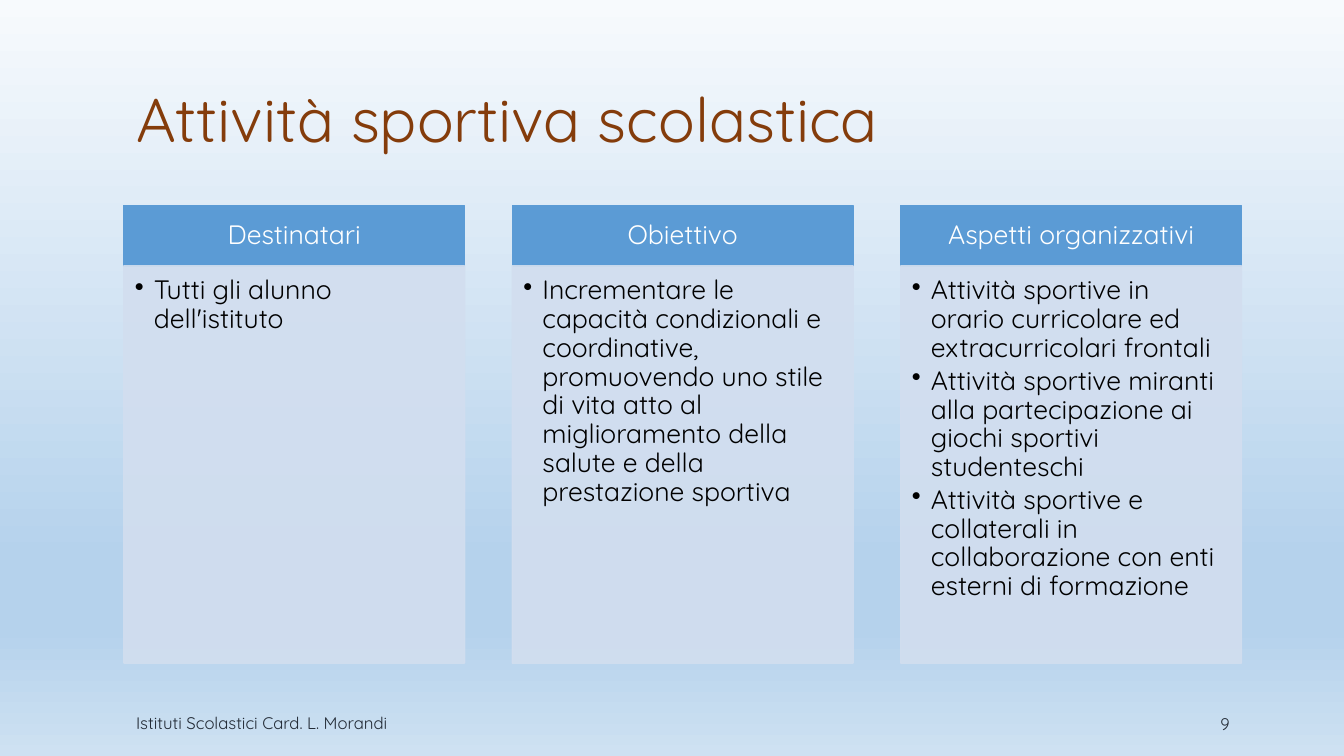
from lxml import etree
from pptx import Presentation
from pptx import util as u
from pptx.dml.color import RGBColor
from pptx.enum import shapes, text
from pptx.oxml import ns

BROWN = RGBColor(0x84, 0x3C, 0x0B)
BLUE = RGBColor(0x5B, 0x9B, 0xD5)
PALE_BLUE = RGBColor(0xD2, 0xDE, 0xEF)
WHITE = RGBColor(0xFF, 0xFF, 0xFF)
BLACK = RGBColor(0x00, 0x00, 0x00)
DARK = RGBColor(0x22, 0x2A, 0x35)
SKY = [
    (0, RGBColor(0xF7, 0xFA, 0xFD)),
    (74, RGBColor(0xB5, 0xD2, 0xEC)),
    (83, RGBColor(0xB5, 0xD2, 0xEC)),
    (100, RGBColor(0xCE, 0xE1, 0xF2)),
]

LEFT, COLUMN_STEP, COLUMN_WIDTH = 3.12, 9.79, 8.59
HEADER_TOP, HEADER_HEIGHT, BODY_HEIGHT = 5.18, 1.52, 10.01
COLUMNS = [
    ("Destinatari", ["Tutti gli alunno dell'istituto"]),
    ("Obiettivo", [
        "Incrementare le capacità condizionali e coordinative, promuovendo uno "
        "stile di vita atto al miglioramento della salute e della prestazione sportiva",
    ]),
    ("Aspetti organizzativi", [
        "Attività sportive in orario curricolare ed extracurricolari frontali",
        "Attività sportive miranti alla partecipazione ai giochi sportivi studenteschi",
        "Attività sportive e collaterali in collaborazione con enti esterni di formazione",
    ]),
]


class SlideBuilder:
    """Hold the style and the current slide, and draw its elements."""

    font_name = "Quicksand"
    text_margins = (0.33, 0.18, 0.33, 0.18)
    header_margins = (0.38, 0.2, 0.38, 0.2)
    body_margins = (0.28, 0.28, 0.38, 0.43)

    def __init__(self, slide):
        """Keep the slide to draw on."""
        self.slide = slide

    def background(self, stops):
        """Fill the background with a gradient from top to bottom."""
        fill = self.slide.background.fill
        fill.gradient()
        fill.gradient_angle = 270
        stop_list = next(self.slide.element.iter(ns.qn("a:gsLst")))
        for old_stop in list(stop_list):
            stop_list.remove(old_stop)
        for position, color in stops:
            stop = etree.SubElement(stop_list, ns.qn("a:gs"), pos=str(position * 1000))
            etree.SubElement(stop, ns.qn("a:srgbClr"), val=str(color))

    def set_text(self, shape, lines, size, color, margins, anchor,
                 align=text.PP_ALIGN.LEFT, spacing=1.0, bullets=False):
        """Put one paragraph per line into the shape."""
        frame = shape.text_frame
        frame.word_wrap = True
        frame.vertical_anchor = anchor
        (frame.margin_left, frame.margin_top,
         frame.margin_right, frame.margin_bottom) = map(u.Cm, margins)
        frame.text = "\n".join(lines)
        for paragraph in frame.paragraphs:
            paragraph.alignment = align
            paragraph.line_spacing = spacing
            if bullets:
                paragraph.space_after = u.Pt(3)
                self.bullet(paragraph)
            paragraph.font.name = self.font_name
            paragraph.font.size = u.Pt(size)
            paragraph.font.color.rgb = color

    def bullet(self, paragraph):
        """Give the paragraph a round bullet with a hanging indent."""
        properties = paragraph._p.get_or_add_pPr()
        indent = u.Cm(0.48)
        properties.set("marL", str(indent))
        properties.set("indent", str(-indent))
        etree.SubElement(properties, ns.qn("a:buChar"), char="•")

    def label(self, box, line, size, color, **style):
        """Add a text box whose text sits at the bottom."""
        shape = self.slide.shapes.add_textbox(*map(u.Cm, box))
        self.set_text(shape, [line], size, color, self.text_margins,
                      text.MSO_ANCHOR.BOTTOM, **style)

    def panel(self, box, color, opacity=100):
        """Add a rectangle with fill and line of one colour."""
        shape = self.slide.shapes.add_shape(
            shapes.MSO_SHAPE.RECTANGLE, *map(u.Cm, box))
        shape.shadow.inherit = False
        shape.fill.solid()
        shape.fill.fore_color.rgb = color
        shape.line.color.rgb = color
        shape.line.width = u.Pt(1)
        if opacity < 100:
            for tint in shape.element.spPr.iter(ns.qn("a:srgbClr")):
                etree.SubElement(tint, ns.qn("a:alpha"), val=str(opacity * 1000))
        return shape

    def column(self, left, heading, points):
        """Add a heading bar with a panel of bullet points below it."""
        header = self.panel((left, HEADER_TOP, COLUMN_WIDTH, HEADER_HEIGHT), BLUE)
        self.set_text(header, [heading], 19, WHITE, self.header_margins,
                      text.MSO_ANCHOR.MIDDLE, text.PP_ALIGN.CENTER, 0.9)
        body_top = HEADER_TOP + HEADER_HEIGHT
        body = self.panel((left, body_top, COLUMN_WIDTH, BODY_HEIGHT), PALE_BLUE, 90)
        self.set_text(body, points, 19, BLACK, self.body_margins,
                      text.MSO_ANCHOR.TOP, spacing=0.9, bullets=True)


def main():
    """Build the slide and save it."""
    presentation = Presentation()
    presentation.slide_width = u.Cm(33.87)
    presentation.slide_height = u.Cm(19.05)
    slide = presentation.slides.add_slide(presentation.slide_layouts[6])

    builder = SlideBuilder(slide)
    builder.background(SKY)
    builder.label((3.1, 0.2, 28.22, 3.89), "Attività sportiva scolastica",
                  44, BROWN, spacing=0.85)
    for index, (heading, points) in enumerate(COLUMNS):
        builder.column(LEFT + index * COLUMN_STEP, heading, points)
    builder.label((3.1, 17.76, 17.27, 0.89), "Istituti Scolastici Card. L. Morandi",
                  12, DARK)
    builder.label((28.25, 17.78, 3.07, 0.89), "9", 12, DARK,
                  align=text.PP_ALIGN.RIGHT)

    presentation.save("out.pptx")


main()
